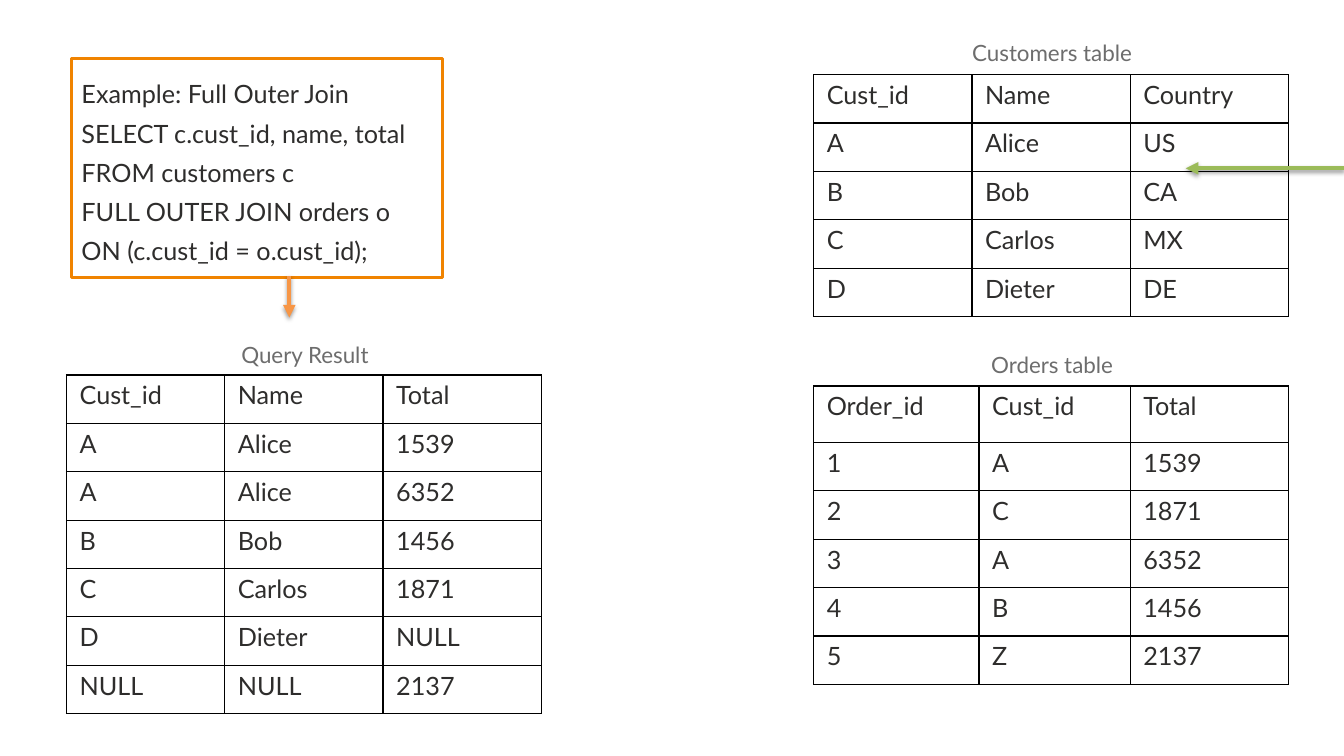
import lxml.etree
import pptx
import pptx.dml.color
import pptx.enum.shapes
import pptx.enum.text
import pptx.oxml
import pptx.oxml.ns
import pptx.util

Inches = pptx.util.Inches
Pt = pptx.util.Pt
RGBColor = pptx.dml.color.RGBColor

INK = RGBColor(0x2E, 0x2D, 0x2C)
CAPTION_GREY = RGBColor(0x6D, 0x6D, 0x6D)
WHITE = RGBColor(0xFF, 0xFF, 0xFF)
BOX_ORANGE = RGBColor(0xF0, 0x83, 0x00)
ARROW_ORANGE = RGBColor(0xF7, 0x96, 0x46)
ARROW_GREEN = RGBColor(0x9B, 0xBB, 0x59)

FONT = "Lato"
ROW_HEIGHT = 0.48
XMLNS = 'xmlns:a="http://schemas.openxmlformats.org/drawingml/2006/main"'
SHADOW = (
    f'<a:effectLst {XMLNS}><a:outerShdw blurRad="39370" dist="20320" dir="5400000" '
    'rotWithShape="0"><a:srgbClr val="000000"><a:alpha val="38000"/></a:srgbClr>'
    "</a:outerShdw></a:effectLst>"
)

# Caption, caption position, table position, column widths, header height, rows
TABLES = [
    ("Customers table", (8.08, 0.33), (8.07, 0.74), (1.57, 1.57, 1.57), ROW_HEIGHT, [
        ("Cust_id", "Name", "Country"),
        ("A", "Alice", "US"),
        ("B", "Bob", "CA"),
        ("C", "Carlos", "MX"),
        ("D", "Dieter", "DE"),
    ]),
    ("Orders table", (8.08, 3.42), (8.07, 3.83), (1.64, 1.5, 1.57), 0.56, [
        ("Order_id", "Cust_id", "Total"),
        ("1", "A", "1539"),
        ("2", "C", "1871"),
        ("3", "A", "6352"),
        ("4", "B", "1456"),
        ("5", "Z", "2137"),
    ]),
    ("Query Result", (0.67, 3.32), (0.66, 3.72), (1.57, 1.57, 1.57), ROW_HEIGHT, [
        ("Cust_id", "Name", "Total"),
        ("A", "Alice", "1539"),
        ("A", "Alice", "6352"),
        ("B", "Bob", "1456"),
        ("C", "Carlos", "1871"),
        ("D", "Dieter", "NULL"),
        ("NULL", "NULL", "2137"),
    ]),
]
QUERY = [
    "Example: Full Outer Join",
    "SELECT c.cust_id, name, total",
    "FROM customers c",
    "FULL OUTER JOIN orders o",
    "ON (c.cust_id = o.cust_id);",
]
# Start, end, colour
ARROWS = [
    ((13.33, 1.67), (11.76, 1.67), ARROW_GREEN),
    ((2.87, 2.74), (2.87, 3.15), ARROW_ORANGE),
]


def style(paragraph, size, color):
    paragraph.font.name = FONT
    paragraph.font.size = Pt(size)
    paragraph.font.color.rgb = color


def add_borders(cell):
    """Draw a thin black line on all four sides of a table cell."""
    properties = cell._tc.get_or_add_tcPr()
    for position, side in enumerate(("lnL", "lnR", "lnT", "lnB")):
        properties.insert(position, pptx.oxml.parse_xml(
            f'<a:{side} {XMLNS} w="12700"><a:solidFill><a:srgbClr val="000000"/>'
            f"</a:solidFill></a:{side}>"
        ))


presentation = pptx.Presentation()
presentation.slide_width = Inches(13.33)
presentation.slide_height = Inches(7.5)
slide = presentation.slides.add_slide(presentation.slide_layouts[6])

query_box = slide.shapes.add_shape(
    pptx.enum.shapes.MSO_SHAPE.RECTANGLE,
    Inches(0.71), Inches(0.58), Inches(3.68), Inches(2.17),
)
query_box.shadow.inherit = False
query_box.fill.solid()
query_box.fill.fore_color.rgb = WHITE
query_box.line.color.rgb = BOX_ORANGE
query_box.line.width = Pt(2)
query_box.text_frame.text = "\n".join(QUERY)
query_box.text_frame.vertical_anchor = pptx.enum.text.MSO_ANCHOR.MIDDLE
for line in query_box.text_frame.paragraphs:
    line.alignment = pptx.enum.text.PP_ALIGN.LEFT
    line.line_spacing = 1.3
    style(line, 18, INK)

for title, title_at, table_at, widths, header_height, rows in TABLES:
    caption = slide.shapes.add_textbox(
        *map(Inches, title_at), Inches(4.71), Inches(0.39)
    ).text_frame
    caption.word_wrap = True
    caption.margin_left = caption.margin_right = Inches(0.13)
    caption.margin_top = caption.margin_bottom = Inches(0.06)
    caption.text = title
    caption.paragraphs[0].alignment = pptx.enum.text.PP_ALIGN.CENTER
    style(caption.paragraphs[0], 16, CAPTION_GREY)

    table_height = header_height + ROW_HEIGHT * (len(rows) - 1)
    table = slide.shapes.add_table(
        len(rows), len(widths), *map(Inches, table_at),
        Inches(sum(widths)), Inches(table_height),
    ).table
    table.first_row = False
    table.horz_banding = False
    for column, width in zip(table.columns, widths):
        column.width = Inches(width)
    for row_number, values in enumerate(rows):
        row = table.rows[row_number]
        row.height = Inches(ROW_HEIGHT if row_number else header_height)
        for cell, value in zip(row.cells, values):
            cell.text = value
            cell.margin_left = cell.margin_right = Inches(0.13)
            cell.margin_top = cell.margin_bottom = Inches(0.05)
            cell.fill.background()
            style(cell.text_frame.paragraphs[0], 18, INK)
            add_borders(cell)

for start, end, color in ARROWS:
    arrow = slide.shapes.add_connector(
        pptx.enum.shapes.MSO_CONNECTOR.STRAIGHT,
        *map(Inches, start + end),
    )
    arrow.line.color.rgb = color
    arrow.line.width = Pt(3)
    lxml.etree.SubElement(
        arrow.line._get_or_add_ln(), pptx.oxml.ns.qn("a:tailEnd"), type="triangle"
    )
    arrow._element.spPr.append(pptx.oxml.parse_xml(SHADOW))

presentation.save("out.pptx")
